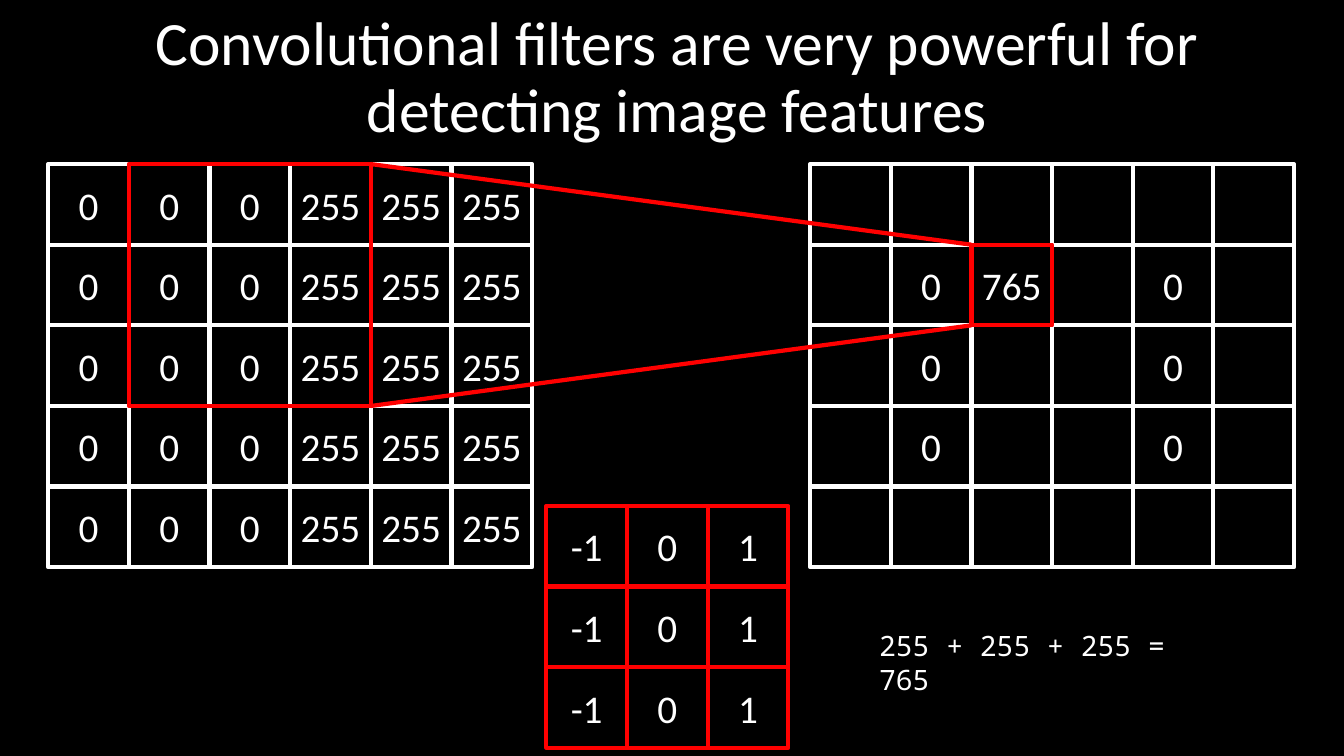
from lxml.etree import SubElement
from pptx import Presentation
from pptx.dml.color import RGBColor
from pptx.enum.shapes import MSO_CONNECTOR, MSO_SHAPE
from pptx.enum.text import MSO_ANCHOR, MSO_AUTO_SIZE, PP_ALIGN
from pptx.oxml.ns import qn
from pptx.util import Pt

COLORS = {"background": "000000", "text": "FFFFFF", "grid": "FFFFFF", "filter": "FF0000"}
CELL = 57.6
LINE_WIDTH = 3
IMAGE_ROWS = [["0", "0", "0", "255", "255", "255"]] * 5
FILTER_ROWS = [["-1", "0", "1"]] * 3
RESULT_ROWS = [
    ["", "", "", "", "", ""],
    ["", "0", "765", "", "0", ""],
    ["", "0", "", "", "0", ""],
    ["", "0", "", "", "0", ""],
    ["", "", "", "", "", ""],
]


def color(name):
    return RGBColor.from_string(COLORS[name])


def style_paragraph(paragraph, size, font_name="Calibri", alignment=PP_ALIGN.CENTER):
    paragraph.alignment = alignment
    paragraph.font.size = Pt(size)
    paragraph.font.name = font_name
    paragraph.font.color.rgb = color("text")


def style_line(line, color_name):
    line.color.rgb = color(color_name)
    line.width = Pt(LINE_WIDTH)


def add_square(group, left, top, side, color_name, text=""):
    shape = group.shapes.add_shape(MSO_SHAPE.RECTANGLE, Pt(left), Pt(top), Pt(side), Pt(side))
    shape.shadow.inherit = False
    shape.fill.background()
    style_line(shape.line, color_name)
    if text:
        shape.text_frame.text = text
        shape.text_frame.vertical_anchor = MSO_ANCHOR.MIDDLE
        style_paragraph(shape.text_frame.paragraphs[0], 28)


def add_ray(group, start_x, start_y, end_x, end_y):
    connector = group.shapes.add_connector(
        MSO_CONNECTOR.STRAIGHT, Pt(start_x), Pt(start_y), Pt(end_x), Pt(end_y)
    )
    style_line(connector.line, "filter")
    SubElement(connector._element.spPr, qn("a:effectLst"))


def add_title(slide, left, top, width, height):
    title = slide.shapes.title
    title.left, title.top, title.width, title.height = Pt(left), Pt(top), Pt(width), Pt(height)
    frame = title.text_frame
    frame.text = "Convolutional filters are very powerful for detecting image features"
    frame.word_wrap = True
    frame.auto_size = MSO_AUTO_SIZE.NONE
    frame.vertical_anchor = MSO_ANCHOR.MIDDLE
    paragraph = frame.paragraphs[0]
    paragraph.line_spacing = 0.9
    style_paragraph(paragraph, 44)


def add_grid(slide, left, top, rows, color_name):
    group = slide.shapes.add_group_shape()
    for row_index, row in enumerate(rows):
        for column_index, text in enumerate(row):
            add_square(group, left + column_index * CELL, top + row_index * CELL,
                       CELL, color_name, text)


def add_projection(slide, window_left, window_top, target_left, target_top):
    group = slide.shapes.add_group_shape()
    window_side = 3 * CELL
    add_square(group, target_left, target_top, CELL, "filter")
    add_square(group, window_left, window_top, window_side, "filter")
    window_right = window_left + window_side
    add_ray(group, window_right, window_top, target_left, target_top)
    add_ray(group, window_right, window_top + window_side, target_left, target_top + CELL)


def add_sum(slide, left, top, width, height):
    frame = slide.shapes.add_textbox(Pt(left), Pt(top), Pt(width), Pt(height)).text_frame
    frame.word_wrap = True
    frame.text = "255 + 255 + 255 = 765"
    style_paragraph(frame.paragraphs[0], 20, "Noto Sans Mono", PP_ALIGN.LEFT)


def build_filter_slide(presentation):
    slide = presentation.slides.add_slide(presentation.slide_layouts[5])
    slide.background.fill.solid()
    slide.background.fill.fore_color.rgb = color("background")
    image_left, result_left, grid_top = 34.5, 578.7, 117.2
    add_title(slide, 69.8, 4.3, 828, 104.4)
    add_grid(slide, image_left, grid_top, IMAGE_ROWS, "grid")
    add_grid(slide, result_left, grid_top, RESULT_ROWS, "grid")
    add_grid(slide, 390.3, 361.4, FILTER_ROWS, "filter")
    add_projection(slide, image_left + CELL, grid_top, result_left + 2 * CELL, grid_top + CELL)
    add_sum(slide, 620.8, 445.7, 262.8, 31.5)


def main():
    presentation = Presentation()
    presentation.slide_width, presentation.slide_height = Pt(960), Pt(540)
    build_filter_slide(presentation)
    presentation.save("out.pptx")


if __name__ == "__main__":
    main()
